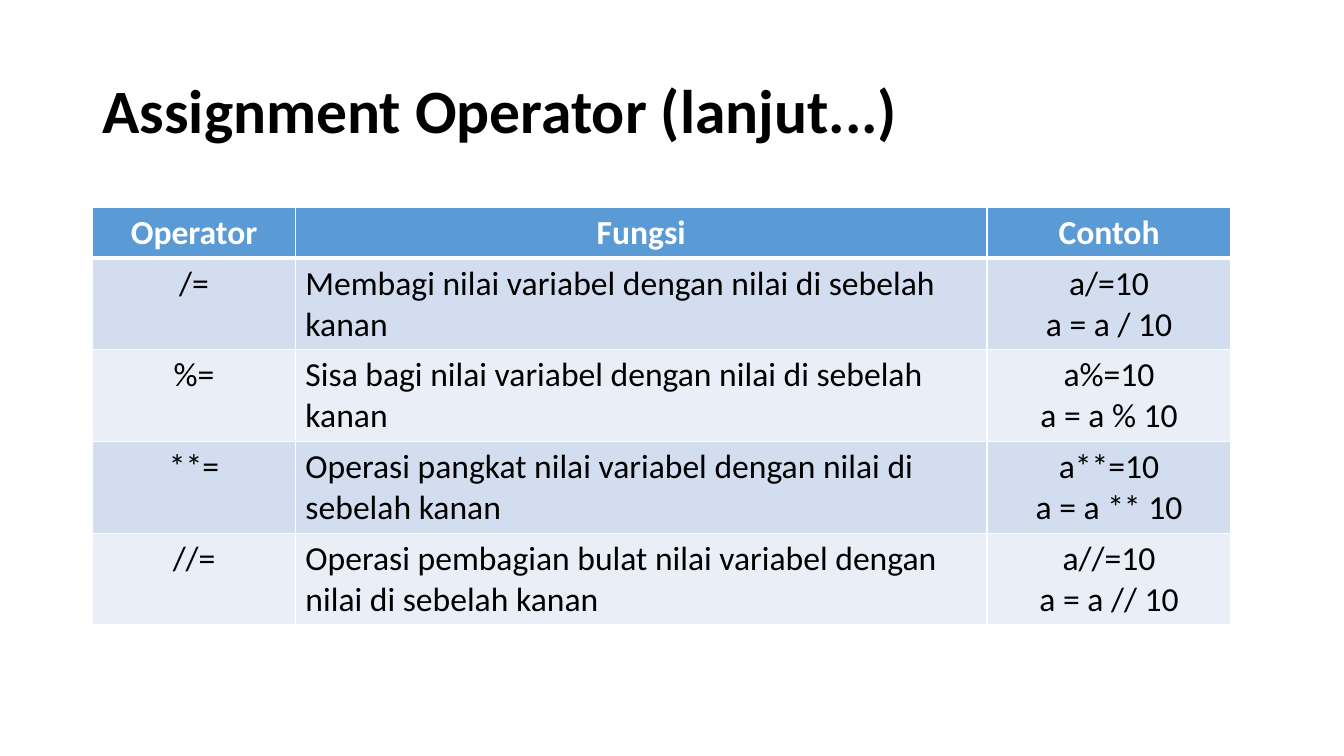
from lxml.etree import SubElement
from pptx import Presentation
from pptx.dml.color import RGBColor
from pptx.enum.text import MSO_ANCHOR, PP_ALIGN
from pptx.oxml.ns import qn
from pptx.util import Inches, Pt

FONT = "Calibri"
BLACK, WHITE, HEADER_BLUE = "000000", "FFFFFF", "5B9BD5"
BAND_FILLS = ("D2DEEF", "EAEFF7")
COLUMN_WIDTHS = (2.01, 6.86, 2.42)
HEADER_HEIGHT, BODY_HEIGHT = 0.5, 0.91
THIN, THICK = 1, 3

HEADINGS = ("Operator", "Fungsi", "Contoh")
OPERATORS = (
    ("/", "Membagi nilai variabel dengan nilai di sebelah kanan"),
    ("%", "Sisa bagi nilai variabel dengan nilai di sebelah kanan"),
    ("**", "Operasi pangkat nilai variabel dengan nilai di sebelah kanan"),
    ("//", "Operasi pembagian bulat nilai variabel dengan nilai di sebelah kanan"),
)


def color(hex_code):
    return RGBColor.from_string(hex_code)


def write(paragraph, text, size, hex_code, bold=False):
    run = paragraph.add_run()
    run.text = text
    run.font.name = FONT
    run.font.size = Pt(size)
    run.font.bold = bold
    run.font.color.rgb = color(hex_code)


def add_title(slide, box, text):
    title = slide.shapes.add_textbox(*map(Inches, box)).text_frame
    title.word_wrap = True
    title.vertical_anchor = MSO_ANCHOR.MIDDLE
    title.paragraphs[0].line_spacing = 0.9
    write(title.paragraphs[0], text, 44, BLACK, bold=True)


def add_borders(cell, top, bottom):
    """Draw white cell edges; must run before the cell gets its fill."""
    properties = cell._tc.get_or_add_tcPr()
    for edge, width in (("L", THIN), ("R", THIN), ("T", top), ("B", bottom)):
        line = SubElement(properties, qn(f"a:ln{edge}"), w=str(Pt(width)))
        fill = SubElement(line, qn("a:solidFill"))
        SubElement(fill, qn("a:srgbClr"), val=WHITE)


def fill_cell(cell, lines, row, column):
    is_header = row == 0
    add_borders(cell, THICK if row == 1 else THIN, THICK if is_header else THIN)
    cell.fill.solid()
    cell.fill.fore_color.rgb = color(
        HEADER_BLUE if is_header else BAND_FILLS[(row - 1) % 2])
    for index, text in enumerate(lines):
        frame = cell.text_frame
        paragraph = frame.add_paragraph() if index else frame.paragraphs[0]
        left_aligned = column == 1 and not is_header
        paragraph.alignment = PP_ALIGN.LEFT if left_aligned else PP_ALIGN.CENTER
        write(paragraph, text, 24, WHITE if is_header else BLACK, is_header)


def add_operator_table(slide, left, top):
    rows = [[[heading] for heading in HEADINGS]]
    rows += [[[f"{sign}="], [purpose], [f"a{sign}=10", f"a = a {sign} 10"]]
             for sign, purpose in OPERATORS]
    heights = [HEADER_HEIGHT] + [BODY_HEIGHT] * len(OPERATORS)
    size = (sum(COLUMN_WIDTHS), sum(heights))
    table = slide.shapes.add_table(
        len(rows), len(HEADINGS), *map(Inches, (left, top, *size))).table
    for column, width in zip(table.columns, COLUMN_WIDTHS):
        column.width = Inches(width)
    for r, (height, cells) in enumerate(zip(heights, rows)):
        table.rows[r].height = Inches(height)
        for c, lines in enumerate(cells):
            fill_cell(table.cell(r, c), lines, r, c)


def main():
    deck = Presentation()
    deck.slide_width, deck.slide_height = Inches(13.33), Inches(7.5)
    slide = deck.slides.add_slide(deck.slide_layouts[6])
    margin = 0.92
    add_title(slide, (margin, 0.4, 11.5, 1.45), "Assignment Operator (lanjut...)")
    add_operator_table(slide, margin, 2.06)
    deck.save("out.pptx")


if __name__ == "__main__":
    main()
